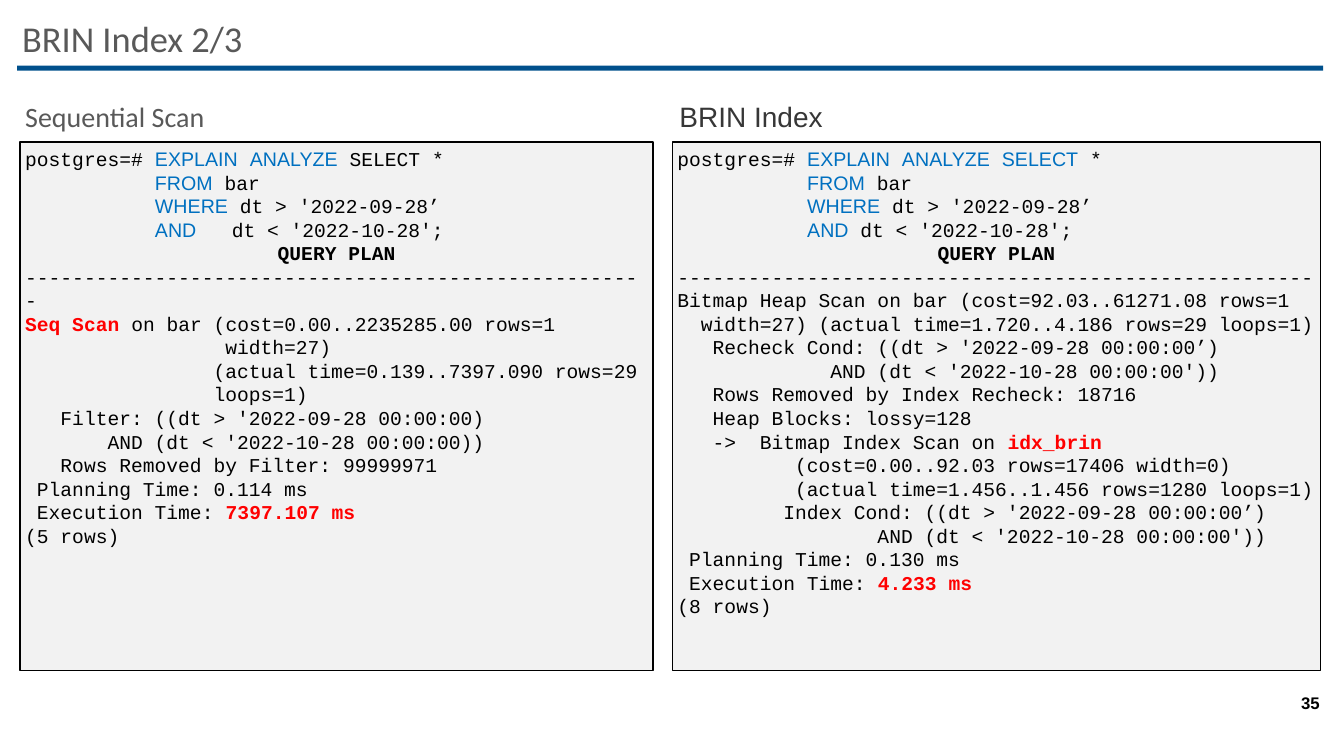
from pptx import Presentation
from pptx.dml.color import RGBColor
from pptx.enum.shapes import MSO_SHAPE
from pptx.enum.text import MSO_ANCHOR, PP_ALIGN
from pptx.util import Pt

RECTANGLE = MSO_SHAPE.RECTANGLE
TOP, MIDDLE = MSO_ANCHOR.TOP, MSO_ANCHOR.MIDDLE
LEFT, CENTER = PP_ALIGN.LEFT, PP_ALIGN.CENTER

BLACK = RGBColor(0x00, 0x00, 0x00)
GRAY = RGBColor(0x59, 0x59, 0x59)
DARK_GRAY = RGBColor(0x37, 0x37, 0x37)
PANEL_GRAY = RGBColor(0xF2, 0xF2, 0xF2)
RULE_BLUE = RGBColor(0x00, 0x50, 0x8C)
KEYWORD_BLUE = RGBColor(0x00, 0x70, 0xC0)
RED = RGBColor(0xFF, 0x00, 0x00)

# A line is a list of pieces: plain text, or (text, style).
KEYWORD, HOT, HEADING = "keyword", "hot", "heading"
STYLES = {
    KEYWORD: dict(font="Arial", color=KEYWORD_BLUE),
    HOT: dict(color=RED, bold=True),
    HEADING: dict(bold=True),
}

TITLE = "BRIN Index 2/3"
PAGE = "35"
QUERY_PLAN = [("QUERY PLAN", HEADING)]

SEQUENTIAL_SCAN = [
    ["postgres=# ", ("EXPLAIN", KEYWORD), " ", ("ANALYZE", KEYWORD), " SELECT *"],
    ["           ", ("FROM", KEYWORD), " bar"],
    ["           ", ("WHERE", KEYWORD), " dt > '2022-09-28’"],
    ["           ", ("AND", KEYWORD), "   dt < '2022-10-28';"],
    QUERY_PLAN,
    ["-" * 53],
    [("Seq Scan", HOT), " on bar (cost=0.00..2235285.00 rows=1"],
    ["                 width=27)"],
    ["                (actual time=0.139..7397.090 rows=29"],
    ["                loops=1)"],
    ["   Filter: ((dt > '2022-09-28 00:00:00)"],
    ["       AND (dt < '2022-10-28 00:00:00))"],
    ["   Rows Removed by Filter: 99999971"],
    [" Planning Time: 0.114 ms"],
    [" Execution Time: ", ("7397.107 ms", HOT)],
    ["(5 rows)"],
]

BRIN_INDEX = [
    ["postgres=# ", ("EXPLAIN", KEYWORD), " ", ("ANALYZE", KEYWORD), " ",
     ("SELECT", KEYWORD), " *"],
    ["           ", ("FROM", KEYWORD), " bar"],
    ["           ", ("WHERE", KEYWORD), " dt > '2022-09-28’"],
    ["           ", ("AND", KEYWORD), " dt < '2022-10-28';"],
    QUERY_PLAN,
    ["-" * 54],
    ["Bitmap Heap Scan on bar (cost=92.03..61271.08 rows=1"],
    ["  width=27) (actual time=1.720..4.186 rows=29 loops=1)"],
    ["   Recheck Cond: ((dt > '2022-09-28 00:00:00’)"],
    ["             AND (dt < '2022-10-28 00:00:00'))"],
    ["   Rows Removed by Index Recheck: 18716"],
    ["   Heap Blocks: lossy=128"],
    ["   ->  Bitmap Index Scan on ", ("idx_brin", HOT)],
    ["          (cost=0.00..92.03 rows=17406 width=0)"],
    ["          (actual time=1.456..1.456 rows=1280 loops=1)"],
    ["         Index Cond: ((dt > '2022-09-28 00:00:00’)"],
    ["                 AND (dt < '2022-10-28 00:00:00'))"],
    [" Planning Time: 0.130 ms"],
    [" Execution Time: ", ("4.233 ms", HOT)],
    ["(8 rows)"],
]

# heading, its font and colour, heading left, panel left, panel width, lines
PANELS = [
    ("Sequential Scan", "Calibri", GRAY, 14.4, 14.4, 452.16, SEQUENTIAL_SCAN),
    ("BRIN Index", "Arial", DARK_GRAY, 481.7, 480.3, 463, BRIN_INDEX),
]
HEADING_TOP, HEADING_WIDTH, HEADING_HEIGHT = 70.6, 452, 30
PANEL_TOP, PANEL_HEIGHT = 101.5, 377.3
INSET = 3.6


def write(shape, lines, size, font, color=BLACK, bold=False, anchor=TOP,
          align=LEFT, spacing=1.0):
    """Fill a shape with lines of pieces; a piece's style overrides the format."""
    frame = shape.text_frame
    frame.word_wrap = True
    frame.vertical_anchor = anchor
    frame.margin_left = frame.margin_right = Pt(INSET)
    frame.margin_top = frame.margin_bottom = Pt(INSET)
    for index, line in enumerate(lines):
        paragraph = frame.paragraphs[0] if index == 0 else frame.add_paragraph()
        paragraph.alignment = CENTER if line is QUERY_PLAN else align
        paragraph.line_spacing = spacing
        for piece in line:
            text, style = (piece, None) if isinstance(piece, str) else piece
            look = dict(font=font, color=color, bold=bold) | STYLES.get(style, {})
            run = paragraph.add_run()
            run.text = text
            run.font.size = Pt(size)
            run.font.name = look["font"]
            run.font.bold = look["bold"]
            run.font.color.rgb = look["color"]


def add_box(slide, left, top, width, height, fill, line=None):
    box = slide.shapes.add_shape(RECTANGLE, Pt(left), Pt(top), Pt(width), Pt(height))
    box.shadow.inherit = False
    box.fill.solid()
    box.fill.fore_color.rgb = fill
    if line is None:
        box.line.fill.background()
    else:
        box.line.color.rgb = line
        box.line.width = Pt(1)
    return box


def add_label(slide, text, left, top, width, height, **text_format):
    label = slide.shapes.add_textbox(Pt(left), Pt(top), Pt(width), Pt(height))
    write(label, [[text]], **text_format)


def main():
    deck = Presentation()
    deck.slide_width, deck.slide_height = Pt(960), Pt(540)
    slide = deck.slides.add_slide(deck.slide_layouts[6])

    add_box(slide, 12.2, 46.8, 933, 3.6, RULE_BLUE)
    add_label(slide, TITLE, 12.2, 0.7, 935, 57, size=26, font="Calibri",
              color=GRAY, anchor=MIDDLE, spacing=0.9)
    for heading, font, color, heading_left, left, width, lines in PANELS:
        add_label(slide, heading, heading_left, HEADING_TOP, HEADING_WIDTH,
                  HEADING_HEIGHT, size=20, font=font, color=color, spacing=0.9)
        panel = add_box(slide, left, PANEL_TOP, width, PANEL_HEIGHT, PANEL_GRAY, BLACK)
        write(panel, lines, size=14, font="Courier New")
    add_label(slide, PAGE, 925.2, 493.2, 21.6, 18, size=12, font="Arial",
              bold=True, anchor=MIDDLE, align=CENTER)
    deck.save("out.pptx")


if __name__ == "__main__":
    main()
